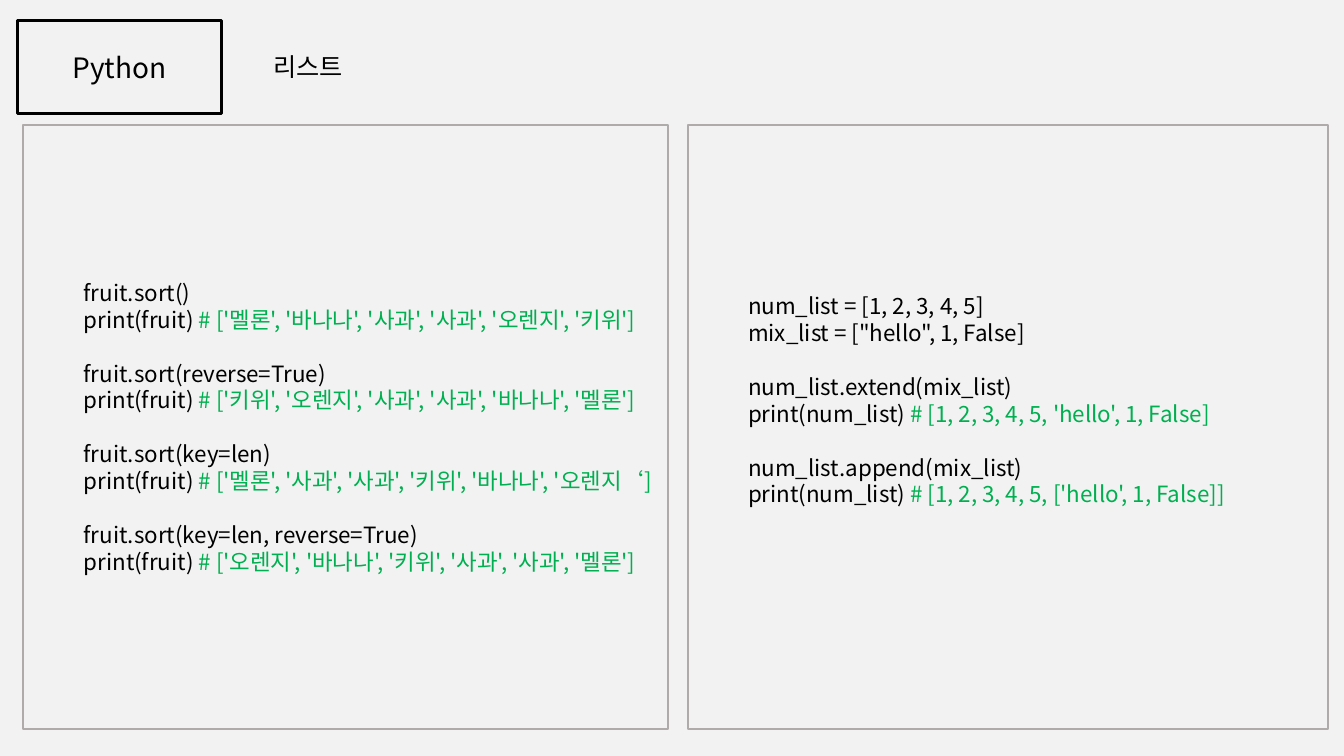
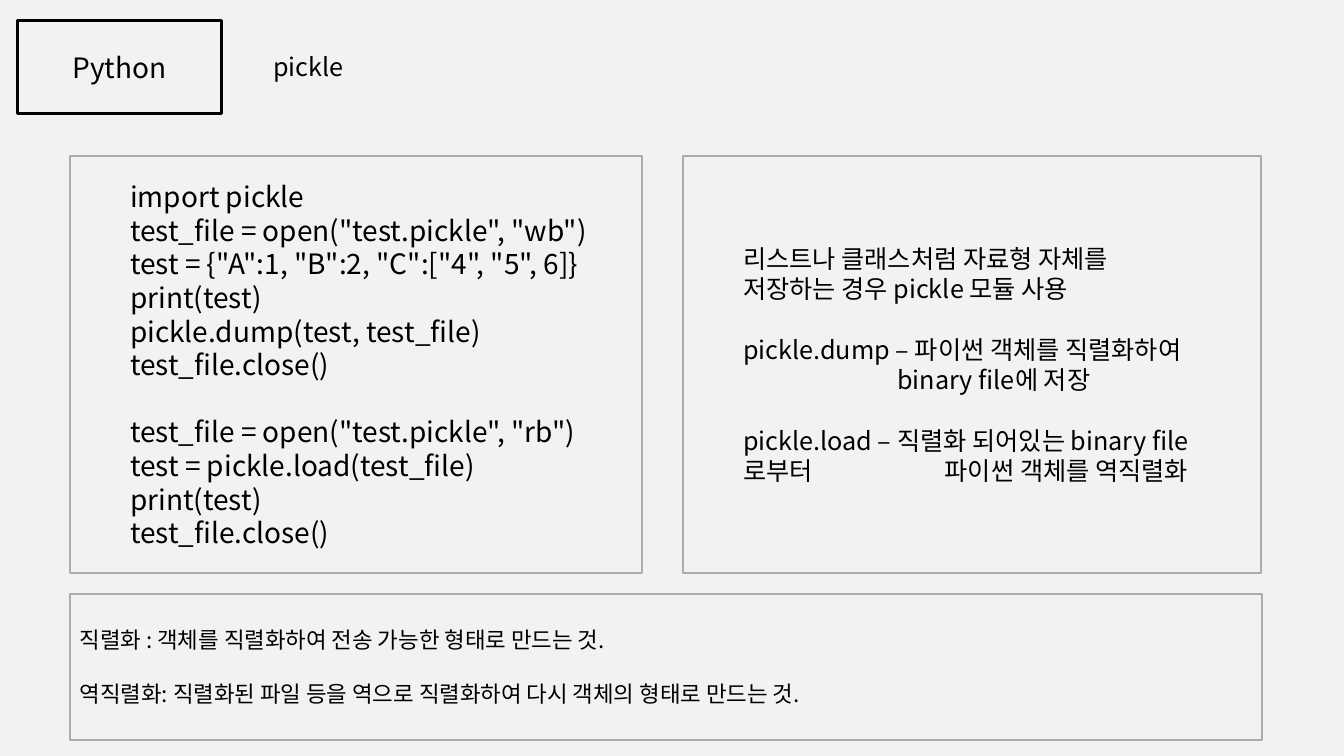
from lxml import etree
from pptx import Presentation, util as u
from pptx.dml.color import RGBColor
from pptx.enum import shapes, text
from pptx.oxml import ns

FONT = "Noto Sans CJK KR"
PAPER, INK, RULE, COMMENT = "F2F2F2", "000000", "AFABAB", "00B050"
INDENT = 3.75
HANGING = 15.23
LEADING = 1.2


def color(value):
    return RGBColor.from_string(value)


class Handout:
    def __init__(self):
        self.deck = Presentation()
        self.deck.slide_width = u.Inches(13.33)
        self.deck.slide_height = u.Inches(7.5)
        self.fill(self.deck.slide_master.background, PAPER)
        self.page = None
        self.bodies = []

    def fill(self, target, value):
        target.fill.solid()
        target.fill.fore_color.rgb = color(value)

    def across(self, share):
        return int(self.deck.slide_width * share / 100)

    def down(self, share):
        return int(self.deck.slide_height * share / 100)

    def place(self, box, left, top, width, height):
        box.left, box.top = self.across(left), self.down(top)
        box.width, box.height = self.across(width), self.down(height)

    def start(self, topic):
        self.page = self.deck.slides.add_slide(self.deck.slide_layouts[3])
        title, *self.bodies = self.page.placeholders
        badge = self.rectangle()
        self.place(badge, 1.28, 2.67, 15.23, 12.4)
        self.outline(badge, INK, 2)
        self.prepare(badge.text_frame)
        self.line(badge.text_frame.paragraphs[0], "Python", 20,
                  align=text.PP_ALIGN.CENTER)
        self.place(title, 19.58, 6.13, 27.31, 5.33)
        self.prepare(title.text_frame)
        self.line(title.text_frame.paragraphs[0], topic, 18)

    def rectangle(self):
        box = self.page.shapes.add_shape(shapes.MSO_SHAPE.RECTANGLE, 0, 0, 0, 0)
        box.shadow.inherit = False
        return box

    def outline(self, box, value, width):
        box.fill.background()
        box.line.color.rgb = color(value)
        box.line.width = u.Pt(width)

    def prepare(self, frame):
        frame.word_wrap = True
        frame.auto_size = text.MSO_AUTO_SIZE.NONE
        frame.vertical_anchor = text.MSO_ANCHOR.MIDDLE

    def line(self, para, words, size, indent=0, before=0,
             align=text.PP_ALIGN.LEFT):
        props = para._p.get_or_add_pPr()
        props.set("marL", str(self.across(indent)))
        props.set("indent", "0")
        props.set("defTabSz", str(u.Inches(1)))
        etree.SubElement(props, ns.qn("a:buNone"))
        para.alignment = align
        para.line_spacing = u.Pt(size * LEADING)
        para.space_before, para.space_after = u.Pt(before), u.Pt(0)
        code, mark, comment = words.partition("# ")
        for part, value in ((code, INK), (mark + comment, COMMENT)):
            if part:
                self.span(para, part, size, value)

    def span(self, para, words, size, value):
        span = para.add_run()
        span.text = words
        span.font.size = u.Pt(size)
        span.font.color.rgb = color(value)
        span.font.name = FONT
        east = etree.SubElement(span._r.get_or_add_rPr(), ns.qn("a:ea"))
        east.set("typeface", FONT)

    def panel(self, spot, groups, size, indent=INDENT, lift=0):
        box = self.bodies.pop(0) if self.bodies else self.rectangle()
        self.place(box, *spot)
        self.outline(box, RULE, 1.5)
        frame = box.text_frame
        self.prepare(frame)
        frame.margin_bottom = u.Inches(0.05) + u.Pt(lift * size * LEADING)
        para = frame.paragraphs[0]
        for group_index, group in enumerate(groups):
            for line_index, line in enumerate(group):
                first = group_index == line_index == 0
                para = para if first else frame.add_paragraph()
                new_group = group_index and not line_index
                words, margin = line if isinstance(line, tuple) else (line, indent)
                self.line(para, words, size, margin,
                          size * LEADING if new_group else 0)


def list_page(handout):
    handout.start("리스트")
    handout.panel((1.73, 16.53, 47.94, 79.87), [
        ["fruit.sort()",
         "print(fruit) # ['멜론', '바나나', '사과', '사과', '오렌지', '키위']"],
        ["fruit.sort(reverse=True)",
         "print(fruit) # ['키위', '오렌지', '사과', '사과', '바나나', '멜론']"],
        ["fruit.sort(key=len)",
         "print(fruit) # ['멜론', '사과', '사과', '키위', '바나나', '오렌지‘]"],
        ["fruit.sort(key=len, reverse=True)",
         "print(fruit) # ['오렌지', '바나나', '키위', '사과', '사과', '멜론']"],
    ], 16)
    handout.panel((51.16, 16.53, 47.64, 79.87), [
        ["num_list = [1, 2, 3, 4, 5]",
         'mix_list = ["hello", 1, False]'],
        ["num_list.extend(mix_list)",
         "print(num_list) # [1, 2, 3, 4, 5, 'hello', 1, False]"],
        ["num_list.append(mix_list)",
         "print(num_list) # [1, 2, 3, 4, 5, ['hello', 1, False]]"],
    ], 16, lift=2)


def pickle_page(handout):
    handout.start("pickle")
    handout.panel((5.18, 20.67, 42.61, 55.07), [
        ["import pickle",
         'test_file = open("test.pickle", "wb")',
         'test = {"A":1, "B":2, "C":["4", "5", 6]}',
         "print(test)",
         "pickle.dump(test, test_file)",
         "test_file.close()"],
        ['test_file = open("test.pickle", "rb")',
         "test = pickle.load(test_file)",
         "print(test)",
         "test_file.close()"],
    ], 20)
    handout.panel((50.79, 20.67, 43.06, 55.07), [
        ["리스트나 클래스처럼 자료형 자체를",
         "저장하는 경우 pickle 모듈 사용"],
        ["pickle.dump – 파이썬 객체를 직렬화하여",
         ("binary file에 저장", HANGING)],
        ["pickle.load – 직렬화 되어있는 binary file로부터 \t\t파이썬 객체를 역직렬화"],
    ], 18)
    handout.panel((5.18, 78.53, 88.75, 19.33), [
        ["직렬화 : 객체를 직렬화하여 전송 가능한 형태로 만드는 것."],
        ["역직렬화: 직렬화된 파일 등을 역으로 직렬화하여 다시 객체의 형태로 만드는 것."],
    ], 16, indent=0)


def main():
    handout = Handout()
    list_page(handout)
    pickle_page(handout)
    handout.deck.save("out.pptx")


if __name__ == "__main__":
    main()
